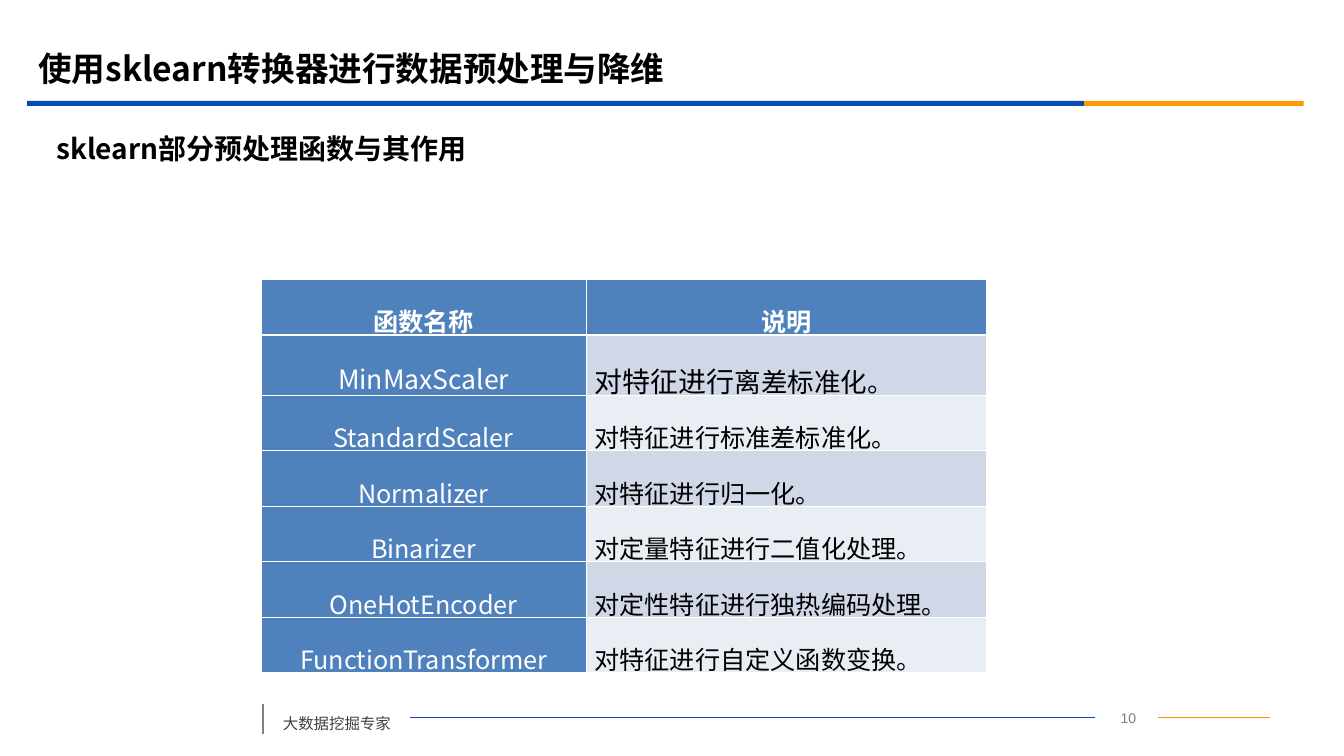
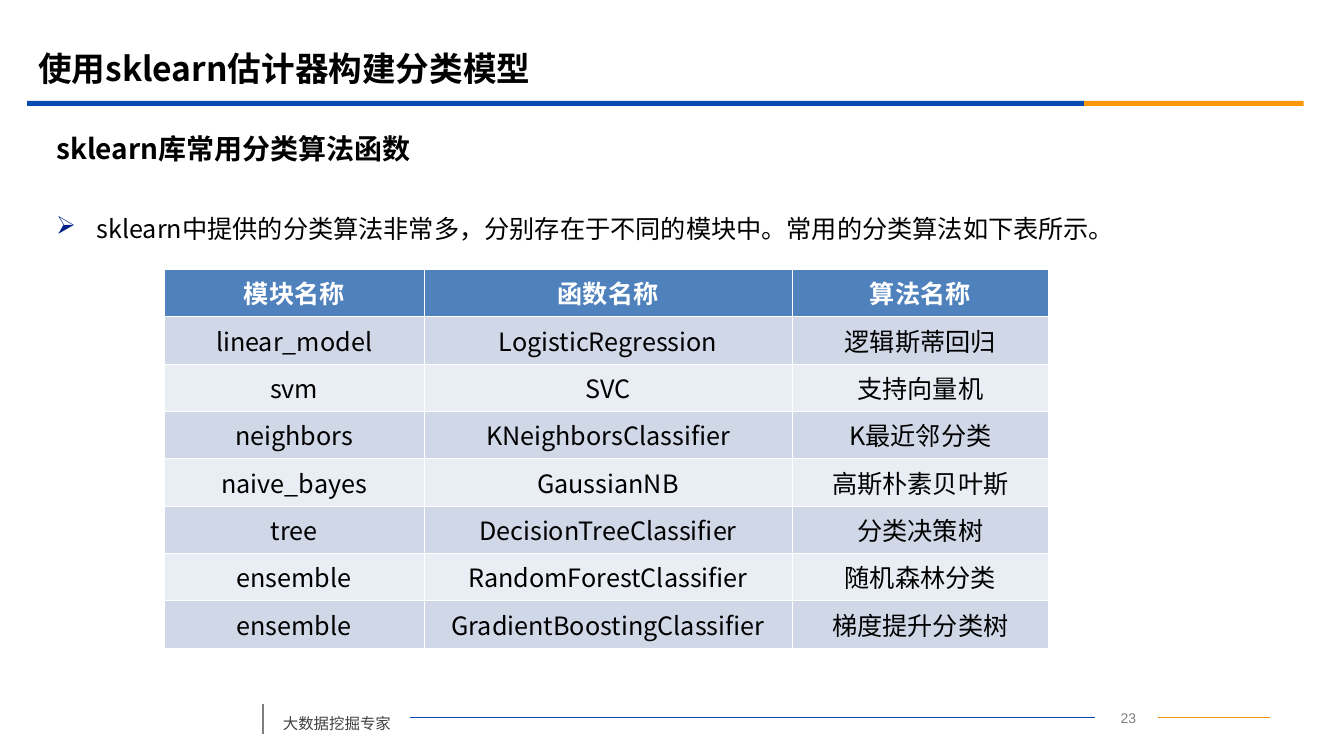
"""Two slides of tables about sklearn preprocessing and classification functions."""
from lxml.etree import SubElement
from pptx import Presentation
from pptx.dml.color import RGBColor
from pptx.enum.shapes import MSO_CONNECTOR, MSO_SHAPE
from pptx.enum.text import MSO_ANCHOR, MSO_AUTO_SIZE, PP_ALIGN
from pptx.oxml.ns import qn
from pptx.util import Pt

PX = 9144
FONT = "Noto Sans CJK SC"
BLACK = RGBColor(0x00, 0x00, 0x00)
WHITE = RGBColor(0xFF, 0xFF, 0xFF)
BLUE = RGBColor(0x06, 0x4B, 0xB2)
ORANGE = RGBColor(0xFB, 0x97, 0x08)
FOOTER_ORANGE = RGBColor(0xF1, 0x95, 0x00)
GRAY = RGBColor(0x7F, 0x7F, 0x7F)
DARK_GRAY = RGBColor(0x40, 0x40, 0x40)
BULLET_BLUE = RGBColor(0x03, 0x20, 0x89)
HEADER_BLUE = RGBColor(0x4F, 0x81, 0xBD)
BANDS = [RGBColor(0xE9, 0xED, 0xF4), RGBColor(0xD0, 0xD8, 0xE8)]

TITLE_BARS = [(27, 1049, BLUE), (1076, 218, ORANGE)]
FOOTER_LINES = [
    (1149, 712, 1261, 712, FOOTER_ORANGE, 0.75),
    (407, 712, 1087, 712, BLUE, 0.75),
    (261, 698, 261, 728, GRAY, 1.25),
]
ROW_HEIGHT = 47

SLIDES = [
    {
        "title": "使用sklearn转换器进行数据预处理与降维",
        "subtitle": "sklearn部分预处理函数与其作用",
        "page": "10",
        "bullet": None,
        "table_at": (259, 277),
        "columns": [323, 397],
        "margin": 8,
        "line_spacing": 1.5,
        "header_column": True,
        "body_alignments": [PP_ALIGN.CENTER, PP_ALIGN.JUSTIFY],
        "rows": [
            ["函数名称", "说明"],
            ["MinMaxScaler", "对特征进行"],
            ["StandardScaler", "对特征进行标准差标准化。"],
            ["Normalizer", "对特征进行归一化。"],
            ["Binarizer", "对定量特征进行二值化处理。"],
            ["OneHotEncoder", "对定性特征进行独热编码处理。"],
            ["FunctionTransformer", "对特征进行自定义函数变换。"],
        ],
    },
    {
        "title": "使用sklearn估计器构建分类模型",
        "subtitle": "sklearn库常用分类算法函数",
        "page": "23",
        "bullet": "sklearn中提供的分类算法非常多，分别存在于不同的模块中。常用的分类算法如下表所示。",
        "table_at": (163, 267),
        "columns": [258, 365, 255],
        "margin": 4,
        "line_spacing": 1.0,
        "header_column": False,
        "body_alignments": [PP_ALIGN.CENTER] * 3,
        "rows": [
            ["模块名称", "函数名称", "算法名称"],
            ["linear_model", "LogisticRegression", "逻辑斯蒂回归"],
            ["svm", "SVC", "支持向量机"],
            ["neighbors", "KNeighborsClassifier", "K最近邻分类"],
            ["naive_bayes", "GaussianNB", "高斯朴素贝叶斯"],
            ["tree", "DecisionTreeClassifier", "分类决策树"],
            ["ensemble", "RandomForestClassifier", "随机森林分类"],
            ["ensemble", "GradientBoostingClassifier", "梯度提升分类树"],
        ],
    },
]


def write(frame, text, size, color, bold=False, align=PP_ALIGN.LEFT, spacing=1.0, font=FONT):
    frame.word_wrap = True
    paragraph = frame.paragraphs[0]
    paragraph.text = text
    paragraph.alignment = align
    paragraph.line_spacing = spacing
    paragraph.font.size = Pt(size)
    paragraph.font.bold = bold
    paragraph.font.color.rgb = color
    paragraph.font.name = font
    defaults = paragraph._p.pPr.find(qn("a:defRPr"))
    SubElement(defaults, qn("a:ea"), typeface=font)
    return paragraph


def add_text(slide, left, top, width, height, anchor=MSO_ANCHOR.TOP):
    box = slide.shapes.add_textbox(left * PX, top * PX, width * PX, height * PX)
    box.text_frame.vertical_anchor = anchor
    return box.text_frame


presentation = Presentation()
presentation.slide_width = 1334 * PX
presentation.slide_height = 750 * PX

for content in SLIDES:
    slide = presentation.slides.add_slide(presentation.slide_layouts[5])

    for left, width, color in TITLE_BARS:
        bar = slide.shapes.add_shape(MSO_SHAPE.RECTANGLE, left * PX, 100 * PX, width * PX, 5 * PX)
        bar.shadow.inherit = False
        bar.fill.solid()
        bar.fill.fore_color.rgb = color
        bar.line.fill.background()

    for left, top, right, bottom, color, weight in FOOTER_LINES:
        line = slide.shapes.add_connector(
            MSO_CONNECTOR.STRAIGHT, left * PX, top * PX, right * PX, bottom * PX)
        line.line.color.rgb = color
        line.line.width = Pt(weight)
        SubElement(line._element.spPr, qn("a:effectLst"))

    write(add_text(slide, 1089, 699, 62, 25), content["page"], 10, GRAY,
          align=PP_ALIGN.CENTER, font="Arial")
    write(add_text(slide, 271, 694, 136, 38), "大数据挖掘专家", 11, DARK_GRAY, spacing=1.5)

    title = slide.shapes.title
    title.left, title.top, title.width, title.height = 28 * PX, 39 * PX, 1200 * PX, 58 * PX
    title.text_frame.auto_size = MSO_AUTO_SIZE.NONE
    title.text_frame.vertical_anchor = MSO_ANCHOR.MIDDLE
    write(title.text_frame, content["title"], 24, BLACK, bold=True)
    write(add_text(slide, 46, 124, 1215, 47, MSO_ANCHOR.MIDDLE),
          content["subtitle"], 20, BLACK, bold=True)

    if content["bullet"]:
        frame = add_text(slide, 46, 192, 1215, 478)
        properties = frame.paragraphs[0]._p.get_or_add_pPr()
        properties.set("marL", str(40 * PX))
        properties.set("indent", str(-40 * PX))
        bullet_color = SubElement(properties, qn("a:buClr"))
        SubElement(bullet_color, qn("a:srgbClr"), val=str(BULLET_BLUE))
        SubElement(properties, qn("a:buChar"), char="➢")
        write(frame, content["bullet"], 18, BLACK, spacing=1.5)

    rows, columns = content["rows"], content["columns"]
    left, top = content["table_at"]
    table = slide.shapes.add_table(
        len(rows), len(columns), left * PX, top * PX,
        sum(columns) * PX, len(rows) * ROW_HEIGHT * PX).table
    for column, width in zip(table.columns, columns):
        column.width = width * PX

    for row_index, row in enumerate(rows):
        for column_index, text in enumerate(row):
            cell = table.cell(row_index, column_index)
            is_header = row_index == 0
            is_blue = is_header or (content["header_column"] and column_index == 0)
            cell.margin_left = cell.margin_right = content["margin"] * PX
            cell.vertical_anchor = MSO_ANCHOR.MIDDLE
            heavy_side = {0: "lnB", 1: "lnT"}.get(row_index)
            for side in ("lnL", "lnR", "lnT", "lnB"):
                weight = 1.47 if side == heavy_side else 0.45
                border = SubElement(cell._tc.get_or_add_tcPr(), qn(f"a:{side}"), w=str(Pt(weight)))
                border_fill = SubElement(border, qn("a:solidFill"))
                SubElement(border_fill, qn("a:srgbClr"), val=str(WHITE))
            cell.fill.solid()
            cell.fill.fore_color.rgb = HEADER_BLUE if is_blue else BANDS[row_index % 2]
            alignment = PP_ALIGN.CENTER if is_header else content["body_alignments"][column_index]
            write(cell.text_frame, text, 18, WHITE if is_blue else BLACK, bold=is_header,
                  align=alignment, spacing=content["line_spacing"])

    if content["header_column"]:
        table.rows[1].height = 50 * PX
        table.cell(1, 0).text_frame.paragraphs[0].font.size = Pt(19)
        description = table.cell(1, 1).text_frame.paragraphs[0]
        description.add_run().text = "离差标准化。"
        for run, size in zip(description.runs, (20, 19)):
            run.font.size = Pt(size)

presentation.save("out.pptx")
